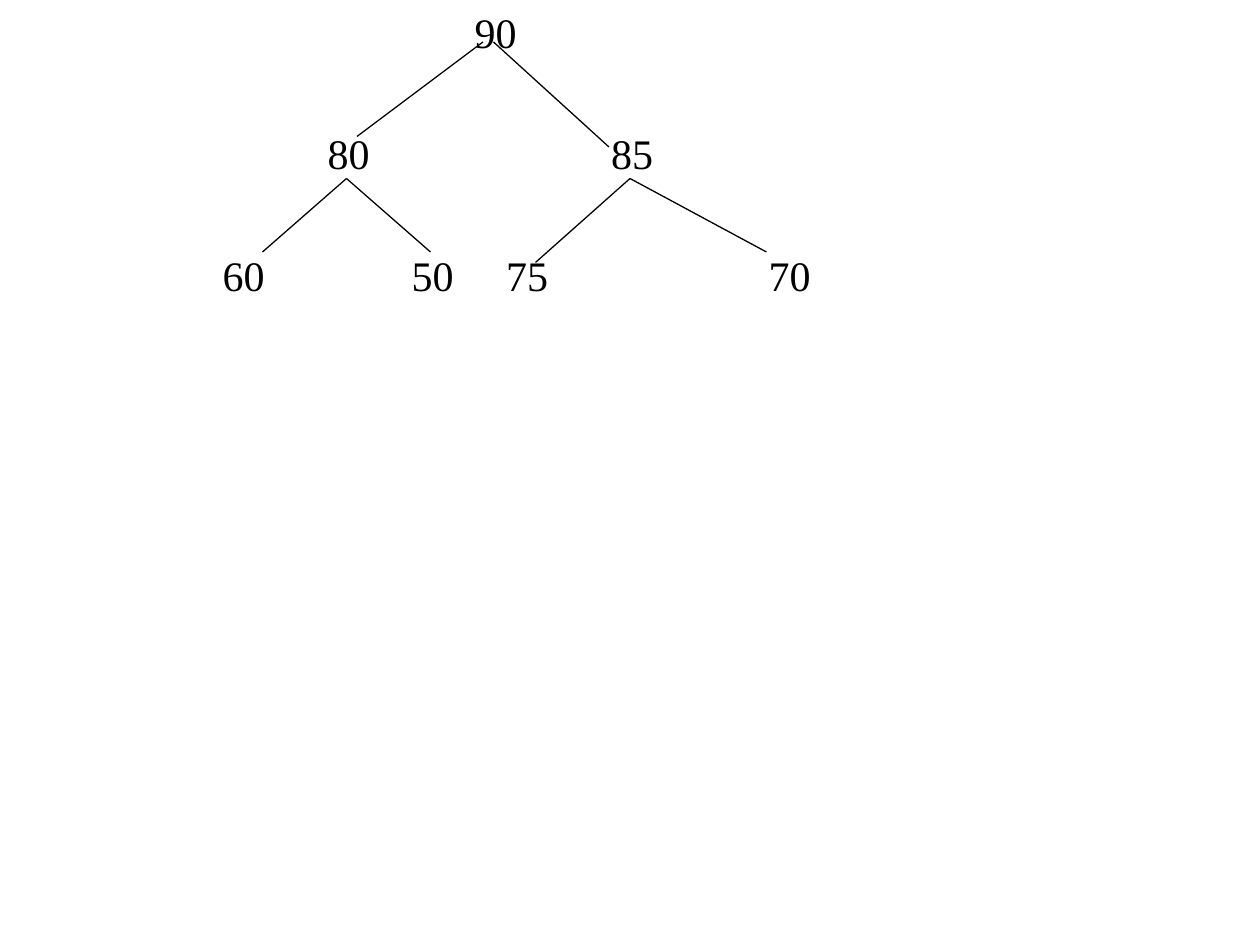
from dataclasses import dataclass

from lxml import etree
from pptx import Presentation
from pptx import util as u
from pptx.dml.color import RGBColor
from pptx.enum import shapes, text
from pptx.oxml import ns


@dataclass(frozen=True)
class Theme:
    font: str = "Times New Roman"
    size: float = 24
    ink: RGBColor = RGBColor(0, 0, 0)
    paper: RGBColor = RGBColor(255, 255, 255)
    line_width: float = 0.75
    side_inset: float = 7.2
    top_inset: float = 3.6


class TreeSlide:
    def __init__(self, deck, theme):
        self.theme = theme
        self.page = deck.slides.add_slide(deck.slide_layouts[1])
        self.page.background.fill.solid()
        self.page.background.fill.fore_color.rgb = theme.paper
        title = self.page.shapes.title.element
        title.getparent().remove(title)

    def root(self, value, indent, width, height):
        """Write the root value in the body, set in by a paragraph indent."""
        box = self.page.placeholders[1]
        box.left, box.top, box.width, box.height = map(u.Pt, (0, 0, width, height))
        para = self.first_para(box)
        props = para._p.get_or_add_pPr()
        props.set("marL", str(int(u.Pt(indent))))
        props.set("indent", "0")
        etree.SubElement(props, ns.qn("a:buNone"))
        self.span(para, value)

    def node(self, value, left, top):
        inset = self.theme.side_inset
        box = self.page.shapes.add_textbox(
            *map(u.Pt, (left, top, self.theme.size + 2 * inset, 36)))
        para = self.first_para(box)
        para.alignment = text.PP_ALIGN.CENTER
        self.span(para, value)
        box.text_frame.word_wrap = False

    def first_para(self, box):
        frame = box.text_frame
        frame.word_wrap = True
        frame.auto_size = text.MSO_AUTO_SIZE.NONE
        frame.vertical_anchor = text.MSO_ANCHOR.TOP
        frame.margin_left = frame.margin_right = u.Pt(self.theme.side_inset)
        frame.margin_top = frame.margin_bottom = u.Pt(self.theme.top_inset)
        para = frame.paragraphs[0]
        para.space_before = u.Pt(0)
        return para

    def span(self, para, words):
        span = para.add_run()
        span.text = words
        span.font.name = self.theme.font
        span.font.size = u.Pt(self.theme.size)
        span.font.color.rgb = self.theme.ink

    def branch(self, start, end):
        line = self.page.shapes.add_connector(
            shapes.MSO_CONNECTOR.STRAIGHT, *map(u.Pt, (*start, *end)))
        line.line.color.rgb = self.theme.ink
        line.line.width = u.Pt(self.theme.line_width)
        etree.SubElement(line.element.spPr, ns.qn("a:effectLst"))


# Levels below the root: (left, value)
LEVEL_PITCH = 69.5
LEVELS = [
    [(180, "80"), (342, "85")],
    [(120, "60"), (228, "50"), (282, "75"), (432, "70")],
]

# Branches: parent end, child end
BRANCHES = [
    ((276, 24), (204, 78)),
    ((282, 24), (348, 84)),
    ((198, 102), (150, 144)),
    ((198, 102), (246, 144)),
    ((360, 102), (306, 150)),
    ((360, 102), (438, 144)),
]


def main():
    deck = Presentation()
    deck.slide_width, deck.slide_height = u.Pt(720), u.Pt(540)
    tree = TreeSlide(deck, Theme())
    tree.root("90", 264, 720, 540)
    for depth, level in enumerate(LEVELS, start=1):
        for left, value in level:
            tree.node(value, left, depth * LEVEL_PITCH)
    for start, end in BRANCHES:
        tree.branch(start, end)
    deck.save("out.pptx")


if __name__ == "__main__":
    main()
